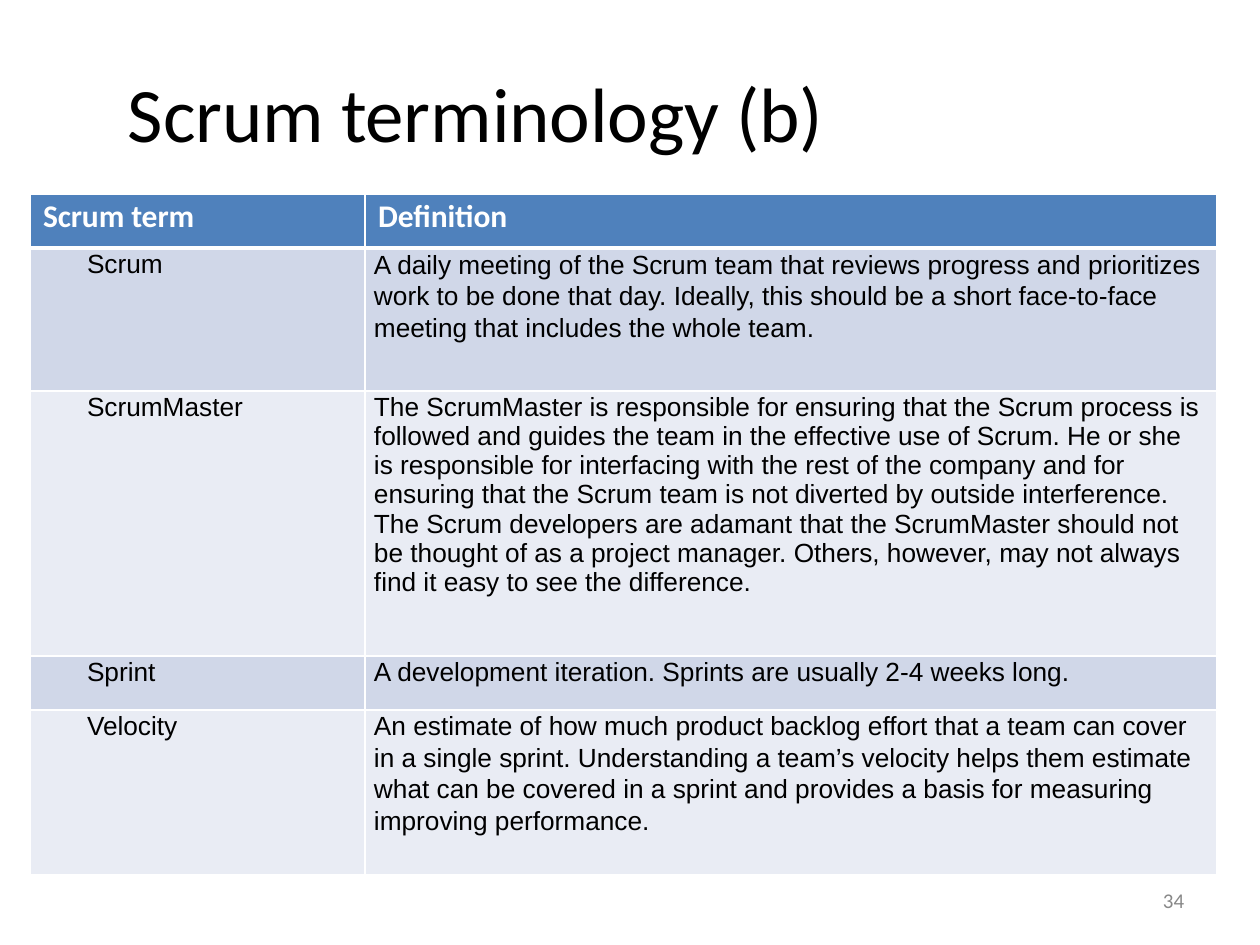
from dataclasses import dataclass

from lxml.etree import SubElement
from pptx import Presentation
from pptx.dml.color import RGBColor as RGB
from pptx.oxml.ns import qn
from pptx.util import Pt

PX = 7257  # EMU in one px, at 126 px to the inch


@dataclass(frozen=True)
class Theme:
    head_font: str = "Calibri"
    body_font: str = "Arial"
    black: str = "000000"
    white: str = "FFFFFF"
    grey: str = "888888"
    header: str = "4F81BC"
    bands: tuple = ("D0D7E8", "E9ECF4")
    title_pt: int = 44
    header_pt: int = 18
    body_pt: int = 15
    number_pt: int = 12


THEME = Theme()
COLUMNS = (335, 852)
HEADER_HEIGHT = 54
HEADERS = ("Scrum term", "Definition")
TERM_INDENT, TEXT_INDENT, HEADER_INDENT = 57, 9, 13
RIGHT_MARGIN = 13

# Term, definition paragraphs, row height in px, line spacing in points per paragraph
ROWS = (
    ("Scrum",
     ("A daily meeting of the Scrum team that reviews progress and prioritizes "
      "work to be done that day. Ideally, this should be a short face-to-face "
      "meeting that includes the whole team.",),
     143, (18,)),
    ("ScrumMaster",
     ("The ScrumMaster is responsible for ensuring that the Scrum process is",
      "followed and guides the team in the effective use of Scrum. He or she "
      "is responsible for interfacing with the rest of the company and for "
      "ensuring that the Scrum team is not diverted by outside interference. "
      "The Scrum developers are adamant that the ScrumMaster should not "
      "be thought of as a project manager. Others, however, may not always "
      "find it easy to see the difference."),
     265, (17.7, None)),
    ("Sprint",
     ("A development iteration. Sprints are usually 2-4 weeks long.",),
     54, (17.7,)),
    ("Velocity",
     ("An estimate of how much product backlog effort that a team can cover "
      "in a single sprint. Understanding a team’s velocity helps them estimate "
      "what can be covered in a sprint and provides a basis for measuring "
      "improving performance.",),
     165, (18,)),
)


def px(n):
    return n * PX


def write(tf, paragraphs, font, size, color, bold=False, spacings=(None,), tracking=0):
    """Fill a text frame; tracking is in hundredths of a point."""
    tf.text = "\n".join(paragraphs)
    for p, spacing in zip(tf.paragraphs, spacings):
        if spacing:
            p.line_spacing = Pt(spacing)
        for r in p.runs:
            r.font.name, r.font.size, r.font.bold = font, Pt(size), bold
            r.font.color.rgb = RGB.from_string(color)
            r._r.get_or_add_rPr().set("spc", str(tracking))


def add_text(slide, box, text, size, color, left=0, top=0, **style):
    tf = slide.shapes.add_textbox(*map(px, box)).text_frame
    tf.word_wrap = True
    tf.margin_left, tf.margin_top = px(left), px(top)
    tf.margin_right = tf.margin_bottom = 0
    write(tf, (text,), THEME.head_font, size, color, **style)


def style_cell(cell, fill, left, top=0, top_line=1, bottom_line=1):
    cell.margin_left, cell.margin_top = px(left), px(top)
    cell.margin_right, cell.margin_bottom = px(RIGHT_MARGIN), 0
    # Cell borders come before the fill
    tc_pr = cell._tc.get_or_add_tcPr()
    for side, width in zip("LRTB", (1, 1, top_line, bottom_line)):
        line = SubElement(tc_pr, qn(f"a:ln{side}"), w=str(Pt(width)))
        solid = SubElement(line, qn("a:solidFill"))
        SubElement(solid, qn("a:srgbClr"), val=THEME.white)
    cell.fill.solid()
    cell.fill.fore_color.rgb = RGB.from_string(fill)


def add_terms_table(slide, left, top):
    heights = [HEADER_HEIGHT] + [row[2] for row in ROWS]
    table = slide.shapes.add_table(
        len(heights), len(COLUMNS), px(left), px(top),
        px(sum(COLUMNS)), px(sum(heights))).table
    table.horz_banding = False
    for column, width in zip(table.columns, COLUMNS):
        column.width = px(width)
    for row, height in zip(table.rows, heights):
        row.height = px(height)

    # Header row
    for i, text in enumerate(HEADERS):
        cell = table.cell(0, i)
        style_cell(cell, THEME.header, HEADER_INDENT, top=4, bottom_line=3)
        write(cell.text_frame, (text,), THEME.head_font, THEME.header_pt,
              THEME.white, bold=True, tracking=-5)

    # Terms and definitions
    for i, (term, definition, _, spacings) in enumerate(ROWS, start=1):
        fill = THEME.bands[(i - 1) % 2]
        columns = (((term,), TERM_INDENT, (17.7,)),
                   (definition, TEXT_INDENT, spacings))
        for j, (paragraphs, indent, lines) in enumerate(columns):
            cell = table.cell(i, j)
            style_cell(cell, fill, indent, top_line=3 if i == 1 else 1)
            write(cell.text_frame, paragraphs, THEME.body_font, THEME.body_pt,
                  THEME.black, spacings=lines)


def main():
    prs = Presentation()
    prs.slide_width, prs.slide_height = px(1260), px(945)
    slide = prs.slides.add_slide(prs.slide_layouts[6])

    # Slide number, title, table
    add_text(slide, (1158, 891, 32, 24), "34", THEME.number_pt, THEME.grey,
             left=5, spacings=(12.4,))
    add_text(slide, (126, 64, 856, 96), "Scrum terminology (b)",
             THEME.title_pt, THEME.black, left=2, top=2, tracking=-10)
    add_terms_table(slide, 30, 194)
    prs.save("out.pptx")


if __name__ == "__main__":
    main()
